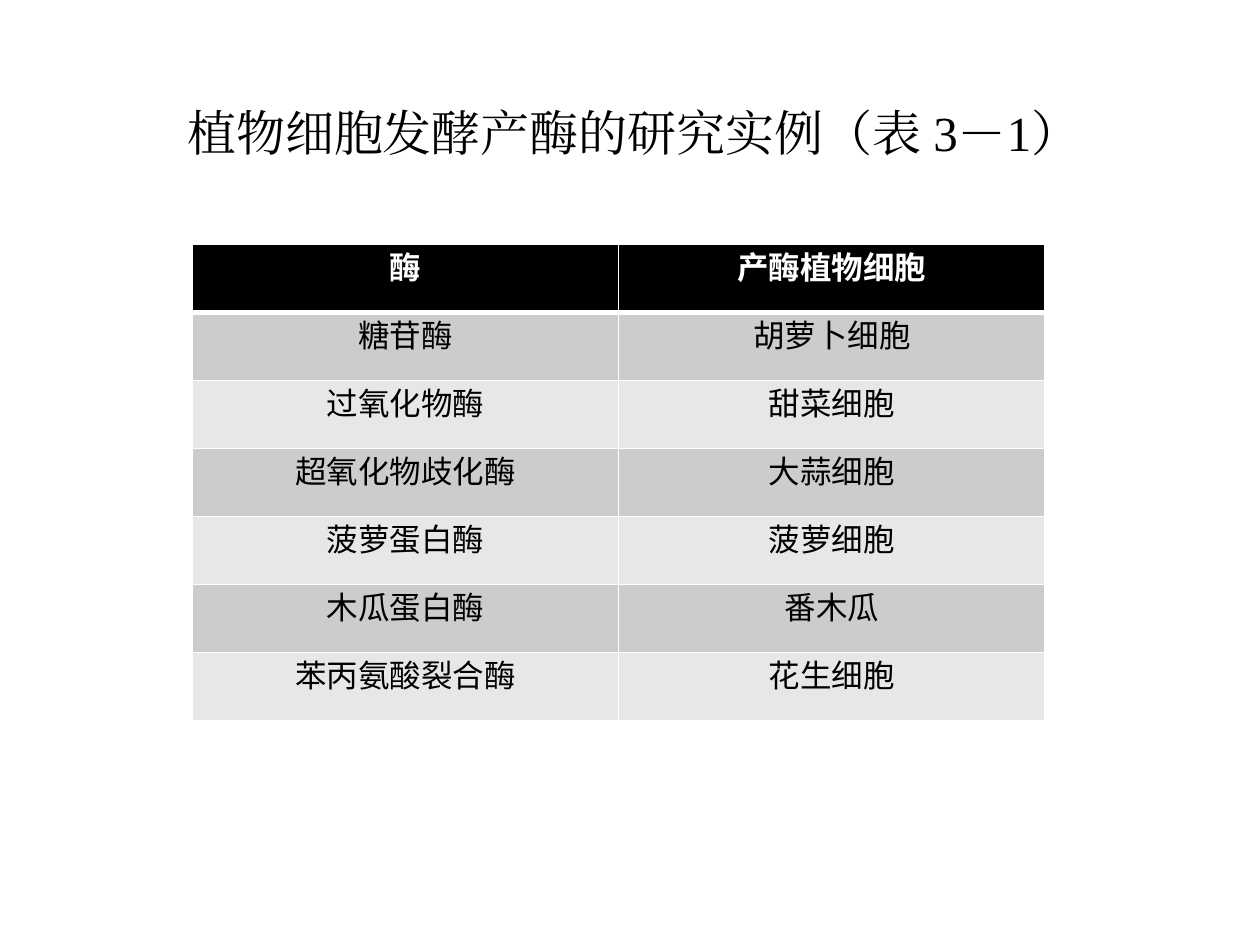
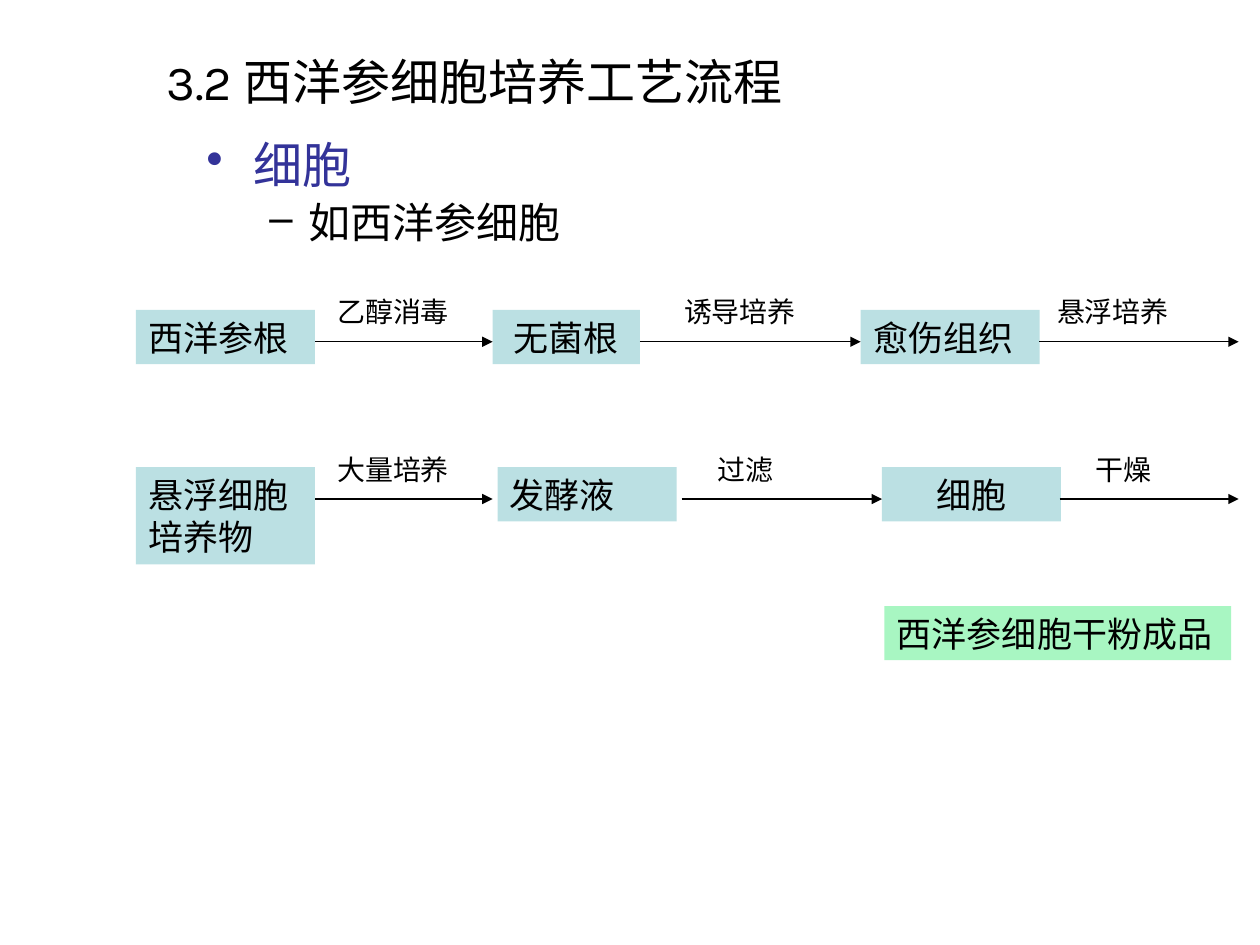
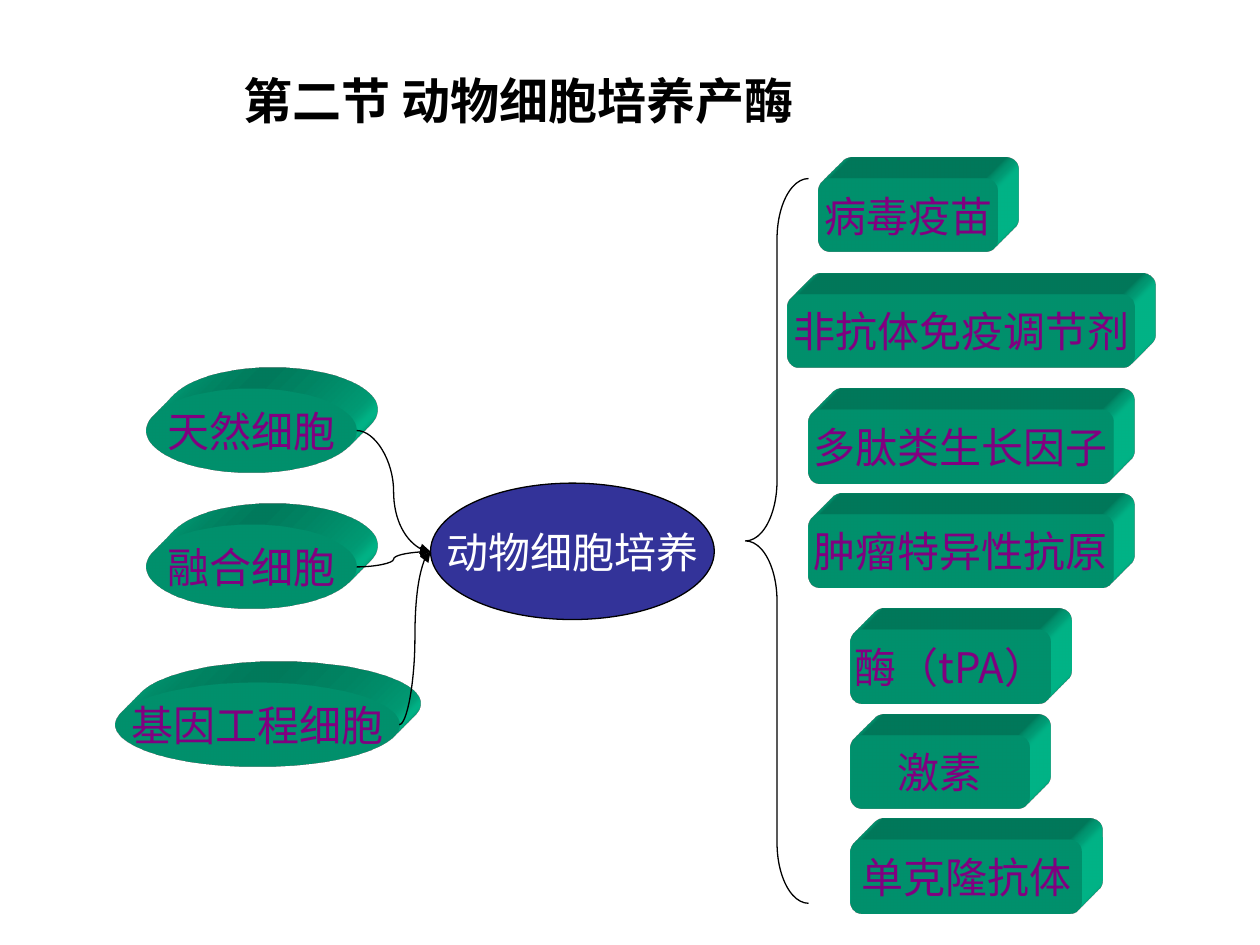
from lxml.etree import SubElement
from pptx import Presentation
from pptx.dml.color import RGBColor
from pptx.enum.shapes import MSO_CONNECTOR as Link, MSO_SHAPE as Preset
from pptx.enum.text import MSO_ANCHOR as Anchor, PP_ALIGN as Align
from pptx.oxml import parse_xml
from pptx.oxml.ns import nsdecls, qn
from pptx.util import Cm, Pt

COLORS = {
    "ink": "000000", "paper": "FFFFFF", "navy": "333399", "purple": "800080",
    "green": "00CC99", "aqua": "BBE0E3", "mint": "A8F6C2",
    "band_dark": "CCCCCC", "band_light": "E7E7E7",
}
SERIF, SANS, KARLA = "Times New Roman", "Arial", "Karla"
CJK, CJK_TITLE = "Noto Sans CJK JP", "Noto Sans CJK SC"


class Deck:
    def __init__(self):
        self.show = Presentation()
        self.show.slide_width, self.show.slide_height = Cm(25.4), Cm(19.05)
        self.slide = None

    def color(self, name):
        return RGBColor.from_string(COLORS[name])

    def new_slide(self):
        self.slide = self.show.slides.add_slide(self.show.slide_layouts[5])

    def style(self, paragraph, size, font, color="ink", bold=False, align=Align.LEFT):
        paragraph.alignment = align
        face = paragraph.font
        face.size, face.bold, face.name = Pt(size), bold, font
        face.color.rgb = self.color(color)
        defaults = paragraph._p.pPr.find(qn("a:defRPr"))
        SubElement(defaults, qn("a:ea")).set("typeface", font)

    def set_text(self, frame, text, size, font, anchor=Anchor.TOP, wrap=True, **look):
        frame.text = text
        frame.word_wrap, frame.vertical_anchor = wrap, anchor
        self.style(frame.paragraphs[0], size, font, **look)

    def title(self, text, box, font, **look):
        heading = self.slide.shapes.title
        heading.left, heading.top, heading.width, heading.height = map(Cm, box)
        self.set_text(heading.text_frame, text, 28, font, **look)

    def label(self, text, box, size, font, **look):
        note = self.slide.shapes.add_textbox(*map(Cm, box))
        self.set_text(note.text_frame, text, size, font, **look)

    def outline(self, box, levels):
        frame = self.slide.shapes.add_textbox(*map(Cm, box)).text_frame
        frame.word_wrap = True
        for i, (text, bullet, margin, hang, size, color) in enumerate(levels):
            line = frame.paragraphs[0] if i == 0 else frame.add_paragraph()
            line.text, line.level = text, i
            line.line_spacing, line.space_before = 0.9, Pt(size * 0.2)
            self.style(line, size, CJK, color)
            props = line._p.pPr
            props.set("marL", str(Cm(margin)))
            props.set("indent", str(-Cm(hang)))
            mark = parse_xml(f'<a:buChar {nsdecls("a")} char="{bullet}"/>')
            props.find(qn("a:defRPr")).addprevious(mark)

    def shape(self, preset, box, fill=None, line=None):
        body = self.slide.shapes.add_shape(preset, *map(Cm, box))
        body.shadow.inherit = False
        if fill:
            body.fill.solid()
            body.fill.fore_color.rgb = self.color(fill)
        else:
            body.fill.background()
        if line:
            body.line.color.rgb = self.color(line)
            body.line.width = Pt(0.75)
        else:
            body.line.fill.background()
        return body

    def step(self, text, box, fill="aqua", align=Align.LEFT):
        body = self.shape(Preset.RECTANGLE, box, fill)
        self.set_text(body.text_frame, text, 20, KARLA, align=align)

    def node(self, preset, text, box, fill="green", line=None, color="purple"):
        body = self.shape(preset, box, fill, line)
        self.set_text(body.text_frame, text, 24, CJK, Anchor.MIDDLE, False,
                      color=color, align=Align.CENTER)
        return body

    def block(self, preset, text, box):
        props = self.node(preset, text, box)._element.spPr
        props.append(parse_xml(
            f'<a:scene3d {nsdecls("a")}><a:camera prst="legacyObliqueTopRight"/>'
            '<a:lightRig rig="legacyFlat3" dir="b"/></a:scene3d>'))
        props.append(parse_xml(
            f'<a:sp3d {nsdecls("a")} extrusionH="430200" prstMaterial="legacyMatte">'
            f'<a:extrusionClr><a:srgbClr val="{COLORS["green"]}"/></a:extrusionClr></a:sp3d>'))

    def arrow(self, start, end, kind=Link.STRAIGHT):
        link = self.slide.shapes.add_connector(kind, *map(Cm, start + end))
        link.line.color.rgb = self.color("ink")
        link.line.width = Pt(0.75)
        props = link._element.spPr
        SubElement(props.find(qn("a:ln")), qn("a:tailEnd")).set("type", "triangle")
        SubElement(props, qn("a:effectLst"))

    def table(self, rows, box):
        grid = self.slide.shapes.add_table(len(rows), len(rows[0]), *map(Cm, box)).table
        for r, row in enumerate(rows):
            header = r == 0
            fill = "ink" if header else ("band_light", "band_dark")[r % 2]
            for c, text in enumerate(row):
                cell = grid.cell(r, c)
                self.set_text(cell.text_frame, text, 18, SANS, bold=header,
                              align=Align.CENTER, color="paper" if header else "ink")
                self.borders(cell, top=3 if r == 1 else 1, bottom=3 if header else 1)
                cell.fill.solid()
                cell.fill.fore_color.rgb = self.color(fill)

    def borders(self, cell, top, bottom):
        props = cell._tc.get_or_add_tcPr()
        for side, width in (("L", 1), ("R", 1), ("T", top), ("B", bottom)):
            props.append(parse_xml(
                f'<a:ln{side} {nsdecls("a")} w="{Pt(width)}"><a:solidFill>'
                f'<a:srgbClr val="{COLORS["paper"]}"/></a:solidFill></a:ln{side}>'))


def enzyme_table(deck):
    deck.new_slide()
    deck.title("植物细胞发酵产酶的研究实例（表 3－1）", (3.25, 1.93, 19.05, 1.45),
               SERIF, align=Align.CENTER)
    deck.table([
        ("酶", "产酶植物细胞"),
        ("糖苷酶", "胡萝卜细胞"),
        ("过氧化物酶", "甜菜细胞"),
        ("超氧化物歧化酶", "大蒜细胞"),
        ("菠萝蛋白酶", "菠萝细胞"),
        ("木瓜蛋白酶", "番木瓜"),
        ("苯丙氨酸裂合酶", "花生细胞"),
    ], (3.87, 4.93, 17.2, 9.6))


def ginseng_process(deck):
    deck.new_slide()
    deck.title("3.2 西洋参细胞培养工艺流程", (3.1, 0.91, 14.15, 1.45), KARLA)
    deck.outline((3.91, 2.72, 21.59, 2.59), [
        ("细胞", "•", 0.95, 0.95, 28, "navy"),
        ("如西洋参细胞", "–", 2.06, 0.79, 24, "ink"),
    ])
    left, center = Align.LEFT, Align.CENTER
    flows = [
        (6.25,
         [("西洋参根", 2.74, 3.61, 1.09, left), ("无菌根", 9.93, 2.97, 1.09, center),
          ("愈伤组织", 17.35, 3.61, 1.09, left)],
         [("乙醇消毒", 6.55, left), ("诱导培养", 13.54, left), ("悬浮培养", 21.06, left)],
         [(6.35, 9.93), (12.9, 17.35), (20.95, 24.97)]),
        (9.42,
         [("悬浮细胞培养物", 2.74, 3.61, 1.96, left), ("发酵液", 10.03, 3.61, 1.09, left),
          ("细胞", 17.78, 3.61, 1.09, center)],
         [("大量培养", 6.55, left), ("过滤", 13.54, center), ("干燥", 21.16, center)],
         [(6.35, 9.93), (13.74, 17.78), (21.36, 24.97)]),
    ]
    for top, steps, treatments, spans in flows:
        for text, x, width, height, align in steps:
            deck.step(text, (x, top, width, height), align=align)
        for text, x, align in treatments:
            deck.label(text, (x, top - 0.43, 2.97, 0.94), 16, KARLA, align=align)
        for start, end in spans:
            deck.arrow((start, top + 0.64), (end, top + 0.64))
    deck.step("西洋参细胞干粉成品", (17.83, 12.22, 6.99, 1.09), "mint")


def animal_cells(deck):
    deck.new_slide()
    deck.title("第二节 动物细胞培养产酶", (4.66, 0.42, 15.66, 3.18), CJK_TITLE,
               anchor=Anchor.MIDDLE, bold=True)
    sources = [("天然细胞", 2.96, 7.83, 4.23), ("融合细胞", 2.96, 10.58, 4.23),
               ("基因工程细胞", 2.33, 13.76, 5.72)]
    for text, x, y, width in sources:
        deck.block(Preset.OVAL, text, (x, y, width, 1.69))
    deck.node(Preset.OVAL, "动物细胞培养", (8.68, 9.74, 5.72, 2.75), "navy", "ink", "paper")
    products = [
        ("病毒疫苗", 16.51, 3.6, 3.6), ("非抗体免疫调节剂", 15.88, 5.93, 6.99),
        ("多肽类生长因子", 16.3, 8.26, 6.14), ("肿瘤特异性抗原", 16.3, 10.37, 6.14),
        ("酶（tPA）", 17.15, 12.7, 4.02), ("激素", 17.15, 14.82, 3.6),
        ("单克隆抗体", 17.15, 16.93, 4.66),
    ]
    for text, x, y, width in products:
        deck.block(Preset.ROUNDED_RECTANGLE, text, (x, y, width, 1.48))
    for _, x, y, width in sources:
        deck.arrow((x + width, y + 0.85), (8.68, 11.12), Link.CURVE)
    brace = deck.shape(Preset.LEFT_BRACE, (15.03, 3.6, 1.27, 14.61), line="ink")
    brace.adjustments[0] = 0.96


def main():
    deck = Deck()
    for build in (enzyme_table, ginseng_process, animal_cells):
        build(deck)
    deck.show.save("out.pptx")


if __name__ == "__main__":
    main()
